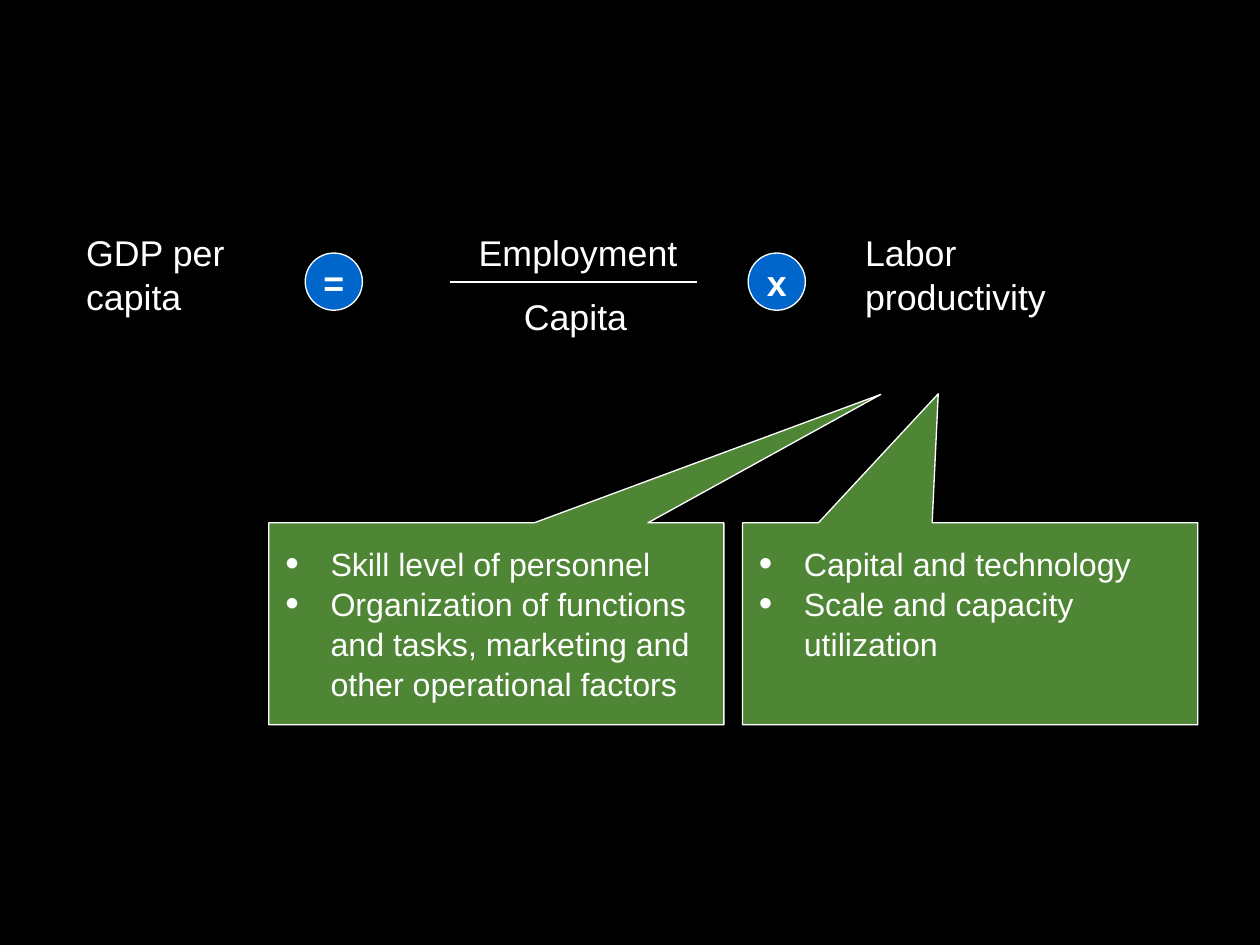
from dataclasses import dataclass

from lxml.etree import SubElement
from pptx import Presentation
from pptx.dml.color import RGBColor
from pptx.enum.shapes import MSO_CONNECTOR, MSO_SHAPE
from pptx.enum.text import MSO_ANCHOR, PP_ALIGN
from pptx.oxml.ns import qn
from pptx.util import Cm, Pt


@dataclass(frozen=True)
class Theme:
    background = RGBColor(0x00, 0x00, 0x00)
    ink = RGBColor(0xFF, 0xFF, 0xFF)
    callout = RGBColor(0x4F, 0x86, 0x36)
    operator = RGBColor(0x00, 0x66, 0xCC)
    font = "Arial"
    formula_size = Pt(20)
    driver_size = Pt(18)
    outline = Pt(0.75)
    line_spacing = 1.04


theme = Theme()

deck = Presentation()
deck.slide_width, deck.slide_height = Cm(24.89), Cm(18.67)
slide = deck.slides.add_slide(deck.slide_layouts[6])
slide.background.fill.solid()
slide.background.fill.fore_color.rgb = theme.background


def add_filled(kind, left, top, width, height, color):
    shape = slide.shapes.add_shape(kind, Cm(left), Cm(top), Cm(width), Cm(height))
    shape.shadow.inherit = False
    shape.fill.solid()
    shape.fill.fore_color.rgb = color
    shape.line.color.rgb = theme.ink
    shape.line.width = theme.outline
    return shape


def write(frame, lines, size, align=PP_ALIGN.LEFT, bold=False, bullets=False):
    """Put each line in its own paragraph of a frame without margins."""
    frame.margin_left = frame.margin_right = frame.margin_top = frame.margin_bottom = 0
    for number, line in enumerate(lines):
        paragraph = frame.paragraphs[0] if number == 0 else frame.add_paragraph()
        paragraph.alignment = align
        paragraph.line_spacing = theme.line_spacing
        if bullets:
            properties = paragraph._p.get_or_add_pPr()
            properties.set("marL", str(Cm(0.89)))
            properties.set("indent", str(-Cm(0.89)))
            bullet_color = SubElement(properties, qn("a:buClr"))
            SubElement(bullet_color, qn("a:srgbClr"), val=str(theme.ink))
            SubElement(properties, qn("a:buSzPct"), val="120000")
            SubElement(properties, qn("a:buFont"), typeface=theme.font)
            SubElement(properties, qn("a:buChar"), char="•")
        run = paragraph.add_run()
        run.text = line
        run.font.name = theme.font
        run.font.size = size
        run.font.bold = bold
        run.font.color.rgb = theme.ink


# Drivers of labor productivity: callout left, tip, text left, text width, points
drivers = [
    (5.31, (0.845, -1.136), 5.64, 8.38,
     ["Skill level of personnel",
      "Organization of functions and tasks, marketing and other operational factors"]),
    (14.67, (-0.07, -1.139), 14.99, 8.26,
     ["Capital and technology", "Scale and capacity utilization"]),
]
for left, tip, text_left, text_width, points in drivers:
    callout = add_filled(MSO_SHAPE.RECTANGULAR_CALLOUT, left, 10.33, 8.99, 3.99,
                         theme.callout)
    callout.adjustments[0], callout.adjustments[1] = tip
    points_box = slide.shapes.add_textbox(Cm(text_left), Cm(10.72), Cm(text_width), Cm(3.05))
    points_box.text_frame.word_wrap = True
    write(points_box.text_frame, points, theme.driver_size, bullets=True)

# Terms of the formula
terms = [
    (1.7, 4.52, 3.68, 1.7, ["GDP per", "capita"], PP_ALIGN.LEFT),
    (9.45, 4.52, 3.94, 0.85, ["Employment"], PP_ALIGN.CENTER),
    (10.34, 5.79, 2.06, 0.85, ["Capita"], PP_ALIGN.CENTER),
    (17.09, 4.52, 5.16, 1.7, ["Labor", "productivity"], PP_ALIGN.LEFT),
]
for left, top, width, height, lines, align in terms:
    term = slide.shapes.add_textbox(Cm(left), Cm(top), Cm(width), Cm(height))
    term.text_frame.word_wrap = align == PP_ALIGN.LEFT
    write(term.text_frame, lines, theme.formula_size, align)

fraction_bar = slide.shapes.add_connector(
    MSO_CONNECTOR.STRAIGHT, Cm(8.89), Cm(5.57), Cm(13.76), Cm(5.57))
fraction_bar.line.color.rgb = theme.ink
fraction_bar.line.width = theme.outline
SubElement(fraction_bar._element.spPr, qn("a:effectLst"))

for left, sign in [(6.03, "="), (14.78, "x")]:
    operator = add_filled(MSO_SHAPE.OVAL, left, 5.0, 1.13, 1.13, theme.operator)
    operator.text_frame.word_wrap = False
    operator.text_frame.vertical_anchor = MSO_ANCHOR.MIDDLE
    write(operator.text_frame, [sign], theme.formula_size, PP_ALIGN.CENTER, bold=True)

deck.save("out.pptx")
